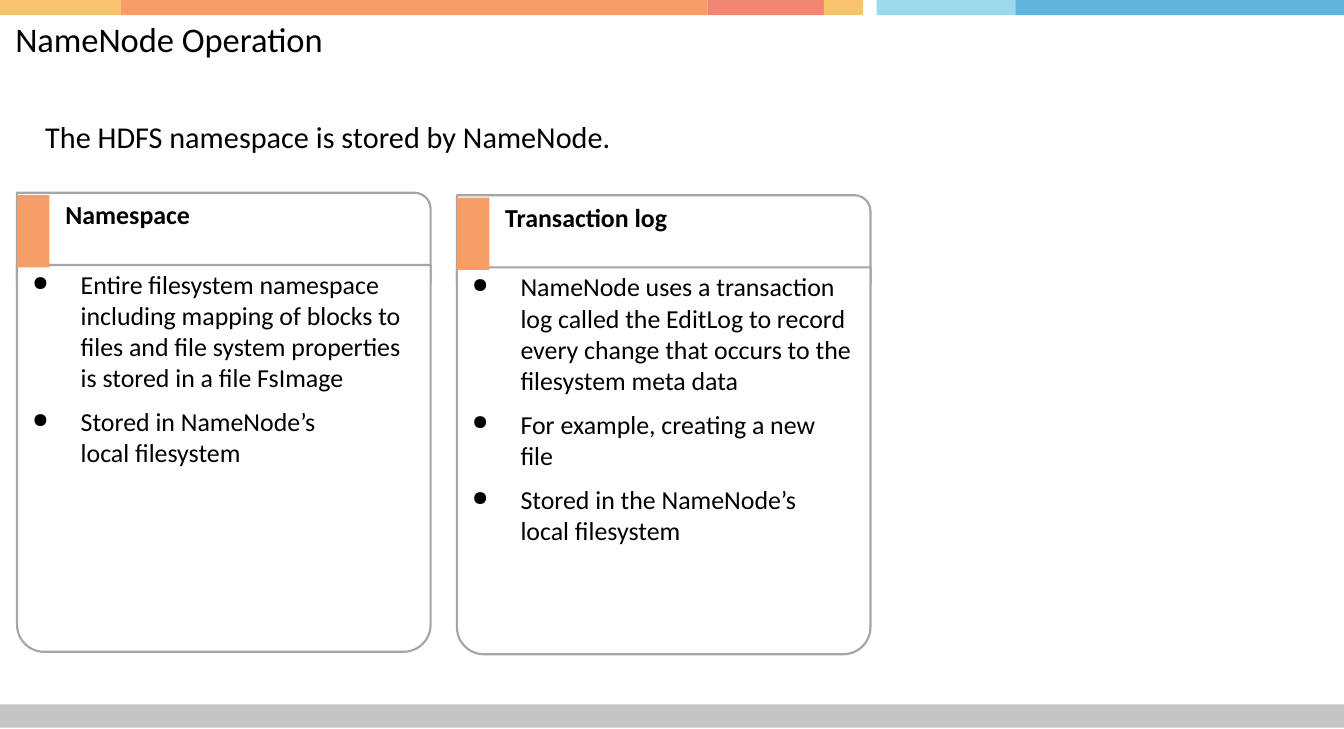
from lxml.etree import SubElement
from pptx import Presentation
from pptx.dml.color import RGBColor
from pptx.enum.shapes import MSO_SHAPE as Shape
from pptx.enum.text import MSO_ANCHOR as Anchor, PP_ALIGN as Align
from pptx.oxml.ns import qn
from pptx.util import Cm, Pt

BLACK = RGBColor(0x00, 0x00, 0x00)
WHITE = RGBColor(0xFF, 0xFF, 0xFF)
GRAY = RGBColor(0xC4, 0xC4, 0xC4)
BORDER = RGBColor(0xA6, 0xA6, 0xA6)
YELLOW = RGBColor(0xF9, 0xC3, 0x6E)
ORANGE = RGBColor(0xF6, 0x9E, 0x66)
RED = RGBColor(0xF3, 0x85, 0x73)
AQUA = RGBColor(0x9C, 0xDA, 0xEB)
BLUE = RGBColor(0x60, 0xB4, 0xDF)

FONT = "Calibri"
SLIDE_WIDTH, SLIDE_HEIGHT = 21.97, 11.91
TITLE = "NameNode Operation"
INTRO = "The HDFS namespace is stored by NameNode."
STRIPES = [
    (0, 1.98, YELLOW),
    (1.98, 11.57, ORANGE),
    (11.57, 13.47, RED),
    (13.47, 14.11, YELLOW),
    (14.33, 16.6, AQUA),
    (16.6, SLIDE_WIDTH, BLUE),
]
CARDS = [
    ("Namespace", [
        "Entire filesystem namespace including mapping of blocks to files "
        "and file system properties is stored in a file FsImage",
        "Stored in NameNode’s\nlocal filesystem",
    ]),
    ("Transaction log", [
        "NameNode uses a transaction log called the EditLog to record "
        "every change that occurs to the filesystem meta data",
        "For example, creating a new\nfile",
        "Stored in the NameNode’s\nlocal filesystem",
    ]),
]
CARD_LEFT, CARD_TOP, CARD_WIDTH = 0.28, 3.15, 6.76
CARD_STEP_X, CARD_STEP_Y = 7.19, 0.04
HEADER_HEIGHT, BODY_OFFSET, BODY_HEIGHT = 1.46, 1.18, 6.32


def add_block(slide, kind, left, top, width, height, fill=None, line=None, corners=()):
    shape = slide.shapes.add_shape(kind, Cm(left), Cm(top), Cm(width), Cm(height))
    shape.shadow.inherit = False
    for index, corner in enumerate(corners):
        shape.adjustments[index] = corner
    if fill is None:
        shape.fill.background()
    else:
        shape.fill.solid()
        shape.fill.fore_color.rgb = fill
    if line is None:
        shape.line.fill.background()
    else:
        shape.line.color.rgb = line
        shape.line.width = Pt(1)


def place_frame(shape, left, top, width, height):
    shape.left, shape.top, shape.width, shape.height = Cm(left), Cm(top), Cm(width), Cm(height)
    frame = shape.text_frame
    frame.margin_left = frame.margin_top = frame.margin_right = frame.margin_bottom = 0
    frame.word_wrap = True
    frame.vertical_anchor = Anchor.TOP
    return frame


def add_frame(slide, *box):
    return place_frame(slide.shapes.add_textbox(0, 0, 0, 0), *box)


def write(paragraph, text, size, bold=False):
    paragraph.alignment = Align.LEFT
    for index, part in enumerate(text.split("\n")):
        if index:
            paragraph.add_line_break()
        run = paragraph.add_run()
        run.text = part
        run.font.name = FONT
        run.font.size = Pt(size)
        run.font.bold = bold
        run.font.color.rgb = BLACK


def add_bullet(paragraph):
    properties = paragraph._p.get_or_add_pPr()
    properties.set("marL", str(Cm(0.84)))
    properties.set("indent", str(Cm(-0.79)))
    SubElement(properties, qn("a:buSzPct"), val="79000")
    SubElement(properties, qn("a:buChar"), char="●")


def add_card(slide, left, top, heading, points):
    body_top = top + BODY_OFFSET
    add_block(slide, Shape.ROUND_1_RECTANGLE, left, top, CARD_WIDTH, HEADER_HEIGHT,
              line=BORDER, corners=[0.18])
    add_block(slide, Shape.ROUND_2_SAME_RECTANGLE, left, body_top, CARD_WIDTH, BODY_HEIGHT,
              fill=WHITE, line=BORDER, corners=[0, 0.07])
    add_block(slide, Shape.RECTANGLE, left, top + 0.04, 0.53, BODY_OFFSET, fill=ORANGE)
    write(add_frame(slide, left + 0.79, top + 0.1, 5, 0.56).paragraphs[0], heading, 12, True)
    frame = add_frame(slide, left + 0.2, body_top + 0.06, 6.3, 4.6)
    for index, point in enumerate(points):
        paragraph = frame.add_paragraph() if index else frame.paragraphs[0]
        if index:
            paragraph.space_before = Pt(6)
        add_bullet(paragraph)
        write(paragraph, point, 12)


def main():
    """Build the NameNode operation slide."""
    presentation = Presentation()
    presentation.slide_width = Cm(SLIDE_WIDTH)
    presentation.slide_height = Cm(SLIDE_HEIGHT)
    slide = presentation.slides.add_slide(presentation.slide_layouts[5])
    add_block(slide, Shape.RECTANGLE, 0, 11.51, SLIDE_WIDTH, 0.38, fill=GRAY)
    for start, end, color in STRIPES:
        add_block(slide, Shape.RECTANGLE, start, 0, end - start, 0.25, fill=color)
    title = place_frame(slide.shapes.title, 0.25, 0.29, 21.5, 0.74)
    write(title.paragraphs[0], TITLE, 16)
    write(add_frame(slide, 0.74, 1.94, 12, 0.66).paragraphs[0], INTRO, 14)
    for index, (heading, points) in enumerate(CARDS):
        add_card(slide, CARD_LEFT + index * CARD_STEP_X, CARD_TOP + index * CARD_STEP_Y,
                 heading, points)
    presentation.save("out.pptx")


if __name__ == "__main__":
    main()
